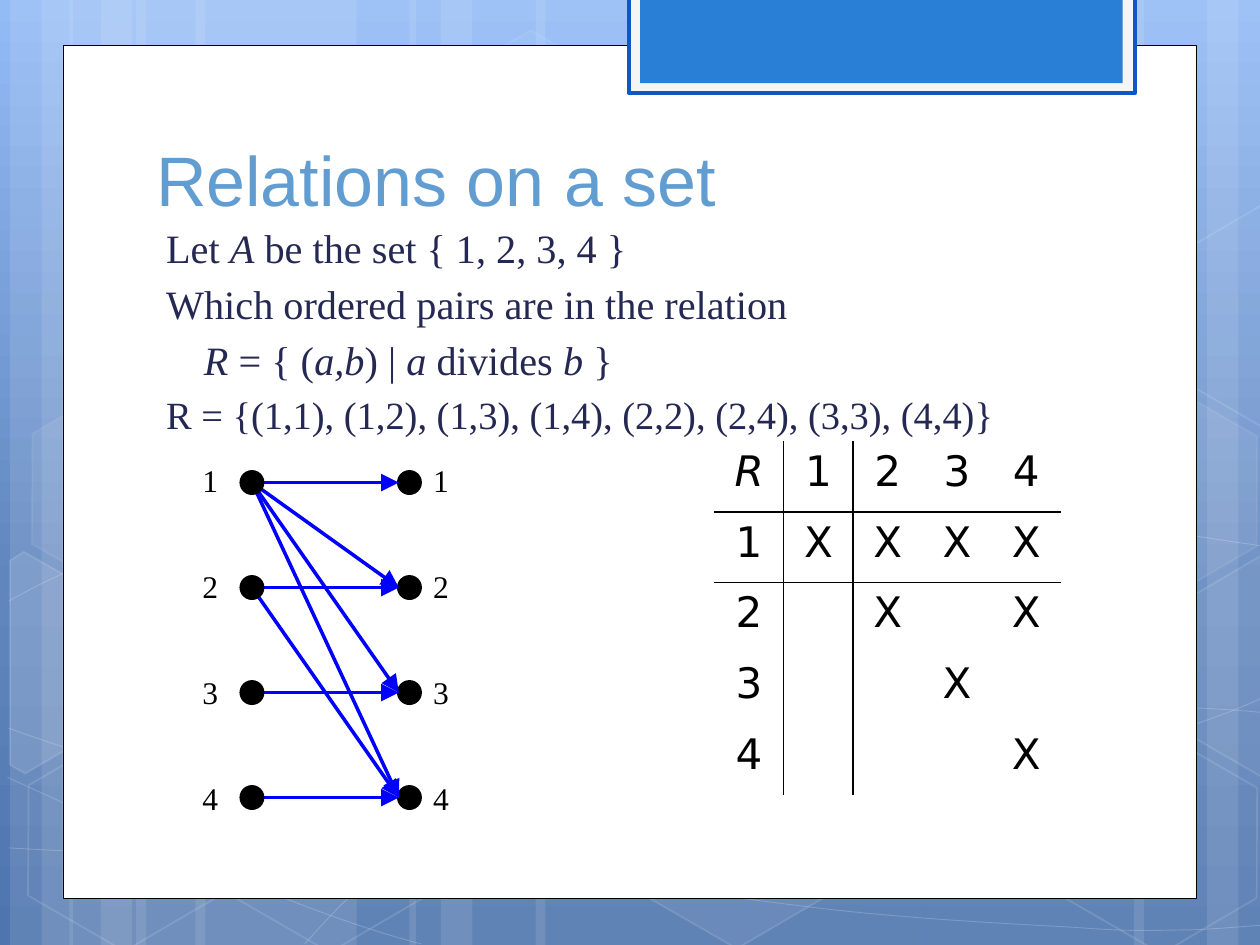
from copy import deepcopy
from dataclasses import dataclass

from lxml import etree
from pptx import Presentation, util as u
from pptx.dml.color import RGBColor
from pptx.enum import shapes as es, text as et
from pptx.oxml import ns

HUES = {"white": "FFFFFF", "black": "000000", "blue": "0000FF", "title": "629DD1",
        "ink": "242852", "frame": "F5F5F5", "edge": "0E58C4", "tab": "297FD5",
        "top": "93BBF6", "mid": "6186BE", "low": "4F75AE"}
SERIF = "Times New Roman"
PLAIN = "{2D5ABB26-0587-4C30-8999-92F81FD0307C}"  # table style without borders
NUMS = range(1, 5)
PAIRS = [(a, b) for a in NUMS for b in NUMS if b % a == 0]
LEFT_X, RIGHT_X, DOT = 2.0, 3.25, 0.17


@dataclass
class Look:
    fill: str | None = None
    line: str | None = None
    width: float = 1
    fade: float = 100  # opacity of the fill in percent
    dim: float = 100  # opacity of the line in percent


@dataclass
class Hex:
    x: float
    y: float
    fill: float  # opacity in percent, 0 for an open outline
    line: float


STRIPES = [(1.08, 1.75), (0.08, 0.5), (0.33, 0.83), (1.55, 1.75), (0.55, 0.5), (0.8, 0.83),
           (7.33, 1.75), (9.58, 0.5), (9, 0.83), (4.25, 3.08), (3.25, 0.5), (3.5, 0.83)]
# Each curve is a start point followed by Bezier triples.
CURVES = [
    [(0.07, 6.73), (0.61, 6.76), (1.15, 6.79), (1.9, 6.78), (2.65, 6.77), (3.58, 6.75),
     (4.58, 6.65), (5.58, 6.55), (7, 6.36), (7.92, 6.17), (8.83, 5.98), (9.77, 5.68),
     (10.07, 5.51)],
    [(0.07, 4.77), (0.36, 4.61), (0.65, 4.46), (1.21, 4.31), (1.78, 4.16), (2.59, 3.94),
     (3.47, 3.87), (4.36, 3.8), (5.44, 3.79), (6.54, 3.87), (7.64, 3.95), (9.47, 4.26),
     (10.07, 4.34)],
    [(0.06, 6.17), (1.27, 6.72), (2.47, 7.27), (3.34, 7.49)],
    [(0.07, 5.78), (0.38, 5.89), (0.7, 6), (1.28, 6.16), (1.86, 6.31), (2.73, 6.56),
     (3.57, 6.73), (4.4, 6.9), (5.45, 7.08), (6.28, 7.18), (7.11, 7.29), (8, 7.33),
     (8.53, 7.36), (9.05, 7.4), (9.19, 7.38), (9.45, 7.38), (9.71, 7.37), (9.89, 7.35),
     (10.07, 7.34)],
    [(2.42, 7.49), (2.6, 7.29), (2.78, 7.09), (3.02, 6.91), (3.26, 6.73), (3.6, 6.53),
     (3.88, 6.39), (4.16, 6.25), (4.33, 6.19), (4.7, 6.09), (5.06, 5.99), (5.73, 5.85),
     (6.08, 5.78), (6.44, 5.71), (6.49, 5.71), (6.8, 5.69), (7.11, 5.66), (7.6, 5.63),
     (7.94, 5.62), (8.29, 5.61), (8.86, 5.62), (8.86, 5.62), (9.08, 5.62), (9.31, 5.62),
     (9.53, 5.62), (9.71, 5.63), (9.88, 5.64), (10.06, 5.66)],
]
HEXES = [Hex(3.34, 0.36, 4, 8), Hex(4.97, 5.89, 6, 12), Hex(0.11, 5.91, 0, 12),
         Hex(0.14, 3.12, 7, 8), Hex(1.74, 5.92, 0, 12), Hex(7.53, 4.53, 10, 12),
         Hex(8.34, 5.93, 0, 12), Hex(8.34, 3.14, 7, 8)]
# Hexagons cut off at the slide's edge: opacity and corners.
CUTS = [
    (10, [(0.08, 4.45), (0.19, 4.38), (0.96, 4.82), (0.95, 5.7), (0.2, 6.14), (0.08, 6.07)]),
    (4, [(9.26, 4.85), (10.01, 4.41), (10.09, 4.46), (10.09, 6.13), (10.02, 6.17), (9.26, 5.73)]),
    (0, [(9.26, 2.07), (10.01, 1.63), (10.1, 1.68), (10.09, 3.35), (10.02, 3.39), (9.26, 2.95)]),
]
# Text between asterisks is italic; then size and left indent.
BODY = [("Let *A* be the set { 1, 2, 3, 4 }", 23, 0.08),
        ("Which ordered pairs are in the relation", 23, 0.08),
        ("*R* = { (*a,b*) | *a* divides *b* }", 23, 0.38),
        ("R = {(1,1), (1,2), (1,3), (1,4), (2,2), (2,4), (3,3), (4,4)}", 22, 0.08)]


def hue(name: str) -> RGBColor:
    return RGBColor.from_string(HUES[name])


def tint(fill, name: str, fade: float) -> None:
    fill.solid()
    fill.fore_color.rgb = hue(name)
    if fade < 100:
        clr = fill._xPr.xpath("./a:solidFill/a:srgbClr")[0]
        etree.SubElement(clr, ns.qn("a:alpha"), val=str(int(fade * 1000)))


def dress(shape, look: Look) -> None:
    shape.shadow.inherit = False
    if look.fill and look.fade:
        tint(shape.fill, look.fill, look.fade)
    else:
        shape.fill.background()
    if look.line:
        tint(shape.line.fill, look.line, look.dim)
        shape.line.width = u.Pt(look.width)
    else:
        shape.line.fill.background()


def draw(slide, kind, box: tuple, look: Look):
    shape = slide.shapes.add_shape(kind, *map(u.Inches, box))
    dress(shape, look)
    return shape


def trace(slide, pts: list, look: Look, close: bool):
    spots = [(u.Inches(x), u.Inches(y)) for x, y in pts]
    pen = slide.shapes.build_freeform(*spots[0])
    pen.add_line_segments(spots[1:], close=close)
    shape = pen.convert_to_shape()
    dress(shape, look)
    return shape


def bend(shape) -> None:
    """Turn each three line segments of the outline into one Bezier curve."""
    segs = shape._element.xpath(".//a:lnTo")
    for i in range(0, len(segs), 3):
        curve = etree.Element(ns.qn("a:cubicBezTo"))
        segs[i].addprevious(curve)
        for seg in segs[i:i + 3]:
            curve.append(seg[0])
            seg.getparent().remove(seg)


def style(font, face: str, size: float, name: str) -> None:
    font.name, font.size = face, u.Pt(size)
    font.color.rgb = hue(name)


def write(slide, box: tuple, lines: list, wrap: bool = True):
    frame = slide.shapes.add_textbox(*map(u.Inches, box)).text_frame
    frame.word_wrap = wrap
    frame.text = "\n".join(lines)
    return frame


def paint_back(slide) -> None:
    fill = slide.background.fill
    fill.gradient()
    fill.gradient_angle = 270
    first = slide.element.xpath(".//a:gsLst/a:gs")[0]
    first.addnext(deepcopy(first))
    for stop, (name, at) in zip(fill.gradient_stops, [("top", 0), ("mid", 0.62), ("low", 1)]):
        stop.color.rgb, stop.position = hue(name), at


def paint_decor(slide) -> None:
    rect = es.MSO_SHAPE.RECTANGLE
    for x, wide in STRIPES:
        draw(slide, rect, (x, 0, wide, 7.5), Look("white", fade=10))
    for pts in CURVES:
        bend(trace(slide, pts, Look(line="white", width=0.5, dim=20), False))
    for h in HEXES:
        shape = draw(slide, es.MSO_SHAPE.HEXAGON, (h.x, h.y, 1.75, 1.52),
                     Look("white", "white", fade=h.fill, dim=h.line))
        shape.adjustments[0], shape.adjustments[1] = 0.285, 1.155
        shape.rotation = 30
    for fade, pts in CUTS:
        trace(slide, pts, Look("white", "white", fade=fade, dim=12), True)
    draw(slide, rect, (0.5, 0.36, 9, 6.77), Look("white", "black", 0.5))
    draw(slide, rect, (4.99, -0.02, 4.02, 0.76), Look("frame", "edge", 2))
    draw(slide, rect, (5.08, -0.02, 3.83, 0.68), Look("tab"))


def write_body(slide) -> None:
    frame = write(slide, (1.14, 1.72, 7.41, 2), [""] * len(BODY))
    for i, (para, (line, size, left)) in enumerate(zip(frame.paragraphs, BODY)):
        para._p.get_or_add_pPr().set("marL", str(u.Inches(left)))
        para.space_before = u.Pt(size * 0.2 if i else 0)
        for k, part in enumerate(line.split("*")):
            if part:
                run = para.add_run()
                run.text = part
                style(run.font, SERIF, size, "ink")
                run.font.italic = k % 2 == 1


def row_y(num: int) -> float:
    return 3.83 + (num - 1) * 2.5 / 3


def add_nodes(slide, x: float, text_x: float) -> None:
    frame = write(slide, (text_x, 3.61, 0.34, 2.91), [str(n) for n in NUMS], False)
    for i, para in enumerate(frame.paragraphs):
        para.alignment = et.PP_ALIGN.CENTER
        para.space_before = u.Pt(38.9 if i else 0)
        style(para.runs[0].font, SERIF, 18, "black")
    for n in NUMS:
        draw(slide, es.MSO_SHAPE.OVAL, (x - DOT / 2, row_y(n) - DOT / 2, DOT, DOT),
             Look("black", "black", 2))


def add_arrow(slide, a: int, b: int) -> None:
    ends = (LEFT_X, row_y(a), RIGHT_X - DOT / 2, row_y(b))
    line = slide.shapes.add_connector(es.MSO_CONNECTOR.STRAIGHT, *map(u.Inches, ends))
    line.line.color.rgb, line.line.width = hue("blue"), u.Pt(2)
    etree.SubElement(line.line._get_or_add_ln(), ns.qn("a:tailEnd"),
                     type="triangle", w="lg", len="lg")
    etree.SubElement(line._element.spPr, ns.qn("a:effectLst"))


def rule(cell, side: str) -> None:
    ln = etree.SubElement(cell._tc.get_or_add_tcPr(), ns.qn(f"a:ln{side}"), w=str(u.Pt(1)))
    fill = etree.SubElement(ln, ns.qn("a:solidFill"))
    etree.SubElement(fill, ns.qn("a:srgbClr"), val=HUES["black"])


def add_grid(slide) -> None:
    box = map(u.Inches, (5.67, 3.5, 2.75, 2.81))
    table = slide.shapes.add_table(5, 5, *box).table
    table.first_row = table.horz_banding = False
    table._tbl.xpath(".//a:tableStyleId")[0].text = PLAIN
    for a in range(5):
        for b in range(5):
            cell = table.cell(a, b)
            for side, on in zip("LRTB", (b == 1, b == 0, a == 1, a == 0)):
                if on:
                    rule(cell, side)
            cell.fill.background()
            mark = "X" if (a, b) in PAIRS else ""
            cell.text = mark if a and b else str(a or b or "R")
            para = cell.text_frame.paragraphs[0]
            para.alignment = et.PP_ALIGN.CENTER
            for run in para.runs:
                style(run.font, "DejaVu Sans", 24, "black")
                run.font.italic = a == b == 0


def main() -> None:
    deck = Presentation()
    deck.slide_width, deck.slide_height = u.Inches(10), u.Inches(7.5)
    slide = deck.slides.add_slide(deck.slide_layouts[6])
    paint_back(slide)
    paint_decor(slide)
    head = write(slide, (1.14, 0.86, 7.68, 0.94), ["Relations on a set"])
    head.vertical_anchor = et.MSO_ANCHOR.BOTTOM
    style(head.paragraphs[0].runs[0].font, "Arial", 40, "title")
    write_body(slide)
    add_nodes(slide, RIGHT_X, 3.33)
    for a, b in PAIRS:
        add_arrow(slide, a, b)
    add_nodes(slide, LEFT_X, 1.5)
    add_grid(slide)
    deck.save("out.pptx")


if __name__ == "__main__":
    main()
